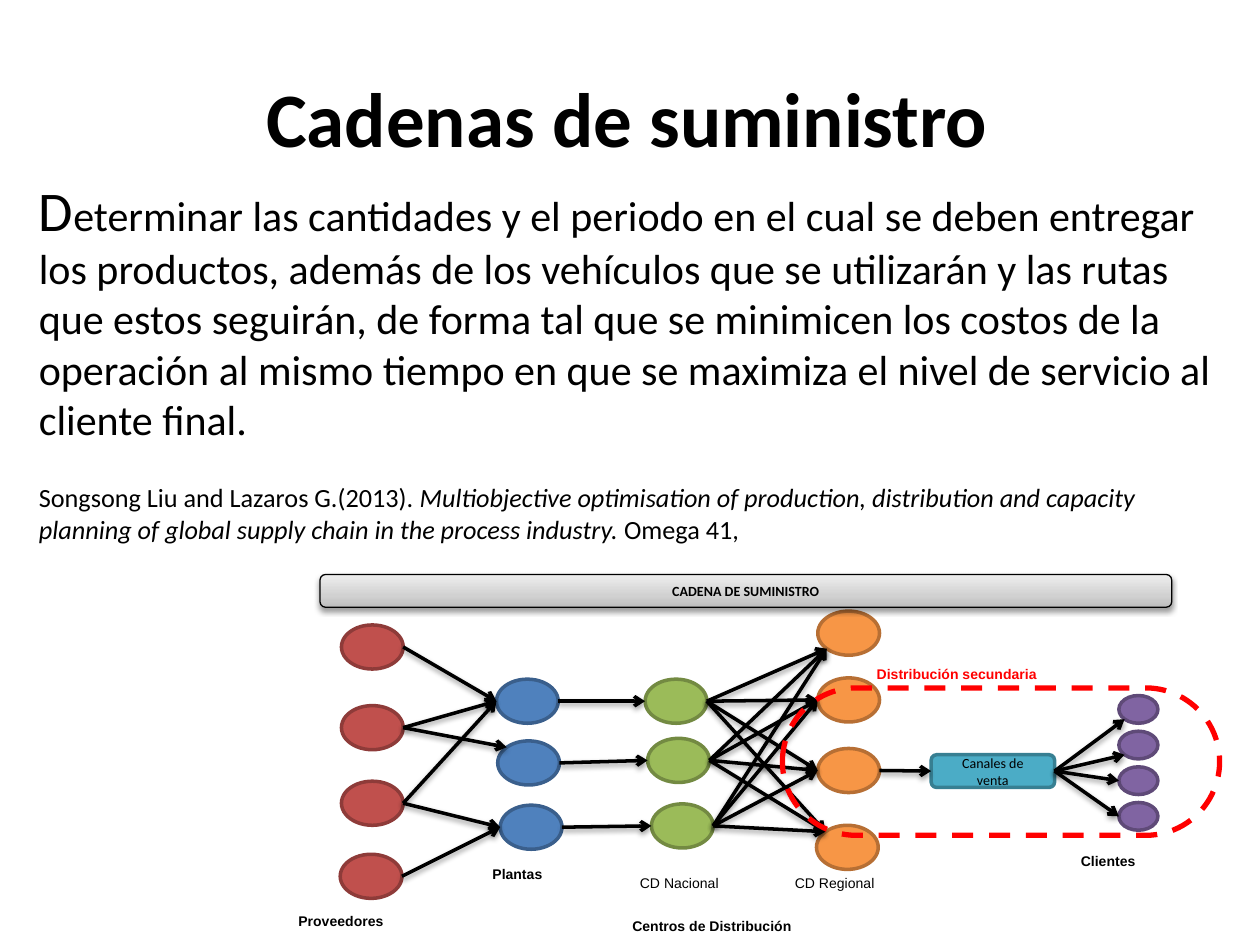
from copy import deepcopy

from lxml import etree
from pptx import Presentation
from pptx.dml.color import RGBColor
from pptx.enum.dml import MSO_LINE
from pptx.enum.shapes import MSO_CONNECTOR, MSO_SHAPE
from pptx.enum.text import MSO_ANCHOR, MSO_AUTO_SIZE, PP_ALIGN
from pptx.oxml.ns import qn
from pptx.util import Inches, Pt

OVAL, ROUNDED = MSO_SHAPE.OVAL, MSO_SHAPE.ROUNDED_RECTANGLE
STRAIGHT, DASH = MSO_CONNECTOR.STRAIGHT, MSO_LINE.DASH
TOP, MIDDLE = MSO_ANCHOR.TOP, MSO_ANCHOR.MIDDLE
LEFT, CENTER = PP_ALIGN.LEFT, PP_ALIGN.CENTER
FIXED = MSO_AUTO_SIZE.NONE
TITLE_ONLY = 5
COLUMNS, ROWS = 100, 75
BLACK, RED = "000000", "FF0000"
SITES = {"left": (0, 0.5), "upper": (0.146, 0.146), "lower": (0.146, 0.854)}
NODE, CLIENT = (4.9, 3.5), (3.1, 2.2)

STAGES = {
    "supplier": ("C0504D", "8E3B39", NODE, [(27.1, 49.6), (27.1, 56), (27.1, 62), (27, 67.8)]),
    "plant": ("4F81BD", "3A5F8C", NODE, [(39.4, 53.9), (39.5, 58.8), (39.7, 63.9)]),
    "national": ("9BBB59", "738A42", NODE, [(51.2, 53.9), (51.4, 58.6), (51.7, 63.8)]),
    "regional": ("F79646", "B76F34", NODE, [(64.9, 48.5), (64.9, 53.8), (64.9, 59.4), (64.8, 65.5)]),
    "client": ("8064A2", "5F4A78", CLIENT, [(88.8, 55.2 + 2.83 * row) for row in range(4)]),
}
SUPPLY = [(0, 0, "left"), (1, 0, "left"), (1, 1, "upper"), (2, 0, "left"), (2, 2, "left"), (3, 2, "left")]
REGIONAL_SITES = ["lower", "left", "left", "upper"]
CLIENT_SITES = ["lower", "lower", "left", "left"]
LABELS = [
    ("Proveedores", (22.7, 71.9, 18.4, 2.4), True, BLACK),
    ("Plantas", (38.1, 68.2, 10.4, 2.4), True, BLACK),
    ("Centros de Distribución", (49.2, 72.3, 27, 2.4), True, BLACK),
    ("CD Nacional", (49.8, 68.9, 14.1, 2.4), False, BLACK),
    ("CD Regional", (62.1, 68.9, 14.1, 2.4), False, BLACK),
    ("Clientes", (84.8, 67.2, 10.4, 2.4), True, BLACK),
    ("Distribución secundaria", (68.6, 52.3, 26.1, 2.4), True, RED),
]
GOAL = (
    "eterminar las cantidades y el periodo en el cual se deben entregar los productos, "
    "además de los vehículos que se utilizarán y las rutas que estos seguirán, de forma tal "
    "que se minimicen los costos de la operación al mismo tiempo en que se maximiza el nivel "
    "de servicio al cliente final."
)
ARTICLE = (
    "Multiobjective optimisation of production, distribution and capacity planning of global "
    "supply chain in the process industry."
)


def colour(value):
    """Turn a hex string into a colour."""
    return RGBColor.from_string(value)


class ChainSlide:
    """Hold the style and the current slide, and draw each kind of element."""

    def __init__(self, deck):
        """Add a title-only page to the deck."""
        self.column = deck.slide_width / COLUMNS
        self.row = deck.slide_height / ROWS
        self.page = deck.slides.add_slide(deck.slide_layouts[TITLE_ONLY])

    def frame(self, at):
        """Convert columns and rows to lengths."""
        units = (self.column, self.row) * 2
        return [round(value * unit) for value, unit in zip(at, units)]

    def add_span(self, para, text, size, font="Calibri", bold=False, italic=False, ink=BLACK):
        """Add one formatted run to a paragraph."""
        span = para.add_run()
        span.text = text
        span.font.name, span.font.size = font, Pt(size)
        span.font.bold, span.font.italic = bold, italic
        span.font.color.rgb = colour(ink)

    def prepare(self, box, anchor=TOP, align=LEFT):
        """Set a text frame and return its first paragraph."""
        frame = box.text_frame
        frame.word_wrap, frame.auto_size = True, FIXED
        frame.vertical_anchor = anchor
        frame.paragraphs[0].alignment = align
        return frame.paragraphs[0]

    def title(self, text, at):
        """Place and fill the title placeholder."""
        box = self.page.shapes.title
        box.left, box.top, box.width, box.height = self.frame(at)
        self.add_span(self.prepare(box, align=CENTER), text, 44, bold=True)

    def text(self, at):
        """Add a text box."""
        return self.page.shapes.add_textbox(*self.frame(at))

    def label(self, text, at, bold, ink):
        """Add a small diagram label."""
        self.add_span(self.prepare(self.text(at)), text, 8, "Arial", bold, ink=ink)

    def shape(self, kind, at, fill, line, weight=2):
        """Add a preset shape with a flat fill or none."""
        shape = self.page.shapes.add_shape(kind, *self.frame(at))
        shape.shadow.inherit = False
        if fill:
            shape.fill.solid()
            shape.fill.fore_color.rgb = colour(fill)
        else:
            shape.fill.background()
        shape.line.color.rgb = colour(line)
        shape.line.width = Pt(weight)
        return shape

    def shade(self, shape, shades):
        """Fill a shape with a three-stop gradient that rises from its base."""
        shape.fill.gradient()
        shape.fill.gradient_angle = 90
        first = next(shape.element.spPr.iter(qn("a:gs")))
        first.addnext(deepcopy(first))
        for stop, (position, value) in zip(shape.fill.gradient_stops, shades):
            stop.position = position
            stop.color.rgb = colour(value)

    def shadow(self, shape):
        """Cast a soft shadow below a shape or connector."""
        properties = shape.element.spPr
        effects = properties.find(qn("a:effectLst"))
        if effects is None:
            effects = etree.SubElement(properties, qn("a:effectLst"))
        outer = etree.SubElement(effects, qn("a:outerShdw"), blurRad="40000", dist="20000", dir="5400000", rotWithShape="0")
        ink = etree.SubElement(outer, qn("a:srgbClr"), val=BLACK)
        etree.SubElement(ink, qn("a:alpha"), val="38000")

    def arrow(self, source, target, site="left"):
        """Join the right side of one shape to a site of another."""
        across, down = SITES[site]
        line = self.page.shapes.add_connector(
            STRAIGHT,
            source.left + source.width,
            source.top + source.height // 2,
            target.left + round(target.width * across),
            target.top + round(target.height * down),
        )
        if source.auto_shape_type == ROUNDED:
            line.begin_connect(source, 3)
        if target.auto_shape_type == ROUNDED:
            line.end_connect(target, 1)
        line.line.color.rgb = colour(BLACK)
        line.line.width = Pt(2)
        etree.SubElement(line.element.spPr.find(qn("a:ln")), qn("a:tailEnd"), type="arrow")
        self.shadow(line)


def main():
    """Build the supply chain slide."""
    deck = Presentation()
    deck.slide_width, deck.slide_height = Inches(10), Inches(7.5)
    slide = ChainSlide(deck)

    slide.title("Cadenas de suministro", (2.1, 5.1, 95.4, 8.3))
    body = slide.text((2.1, 13.4, 95.4, 31))
    para = slide.prepare(body)
    slide.add_span(para, "D", 32)
    slide.add_span(para, GOAL, 24)
    para = body.text_frame.add_paragraph()
    para.space_before = Pt(21.5)
    slide.add_span(para, "Songsong Liu and Lazaros G.(2013). ", 15)
    slide.add_span(para, ARTICLE, 15, italic=True)
    slide.add_span(para, " Omega 41,", 15)

    nodes = {
        stage: [slide.shape(OVAL, (*corner, *size), fill, line) for corner in corners]
        for stage, (fill, line, size, corners) in STAGES.items()
    }
    channel = slide.shape(ROUNDED, (73.9, 59.9, 9.8, 2.6), "4BACC6", "377F92")
    channel.text_frame.margin_left = channel.text_frame.margin_right = Inches(0.15)
    slide.add_span(slide.prepare(channel, MIDDLE, CENTER), "Canales de venta", 8)

    for supplier, plant, site in SUPPLY:
        slide.arrow(nodes["supplier"][supplier], nodes["plant"][plant], site)
    for plant, national in zip(nodes["plant"], nodes["national"]):
        slide.arrow(plant, national)
        for regional, site in zip(nodes["regional"], REGIONAL_SITES):
            slide.arrow(national, regional, site)
    slide.arrow(nodes["regional"][2], channel)
    for client, site in zip(nodes["client"], CLIENT_SITES):
        slide.arrow(channel, client, site)

    banner = slide.shape(ROUNDED, (25.4, 45.6, 67.6, 2.6), None, BLACK, 0.75)
    slide.shade(banner, [(0, "BDBDBD"), (0.35, "D1D1D1"), (1, "EEEEEE")])
    slide.shadow(banner)
    slide.add_span(slide.prepare(banner, MIDDLE, CENTER), "CADENA DE SUMINISTRO", 8, bold=True)

    secondary = slide.shape(ROUNDED, (62.1, 54.6, 34.7, 11.7), None, RED, 3)
    secondary.adjustments[0] = 0.5
    secondary.line.dash_style = DASH
    for label in LABELS:
        slide.label(*label)

    deck.save("out.pptx")


if __name__ == "__main__":
    main()
